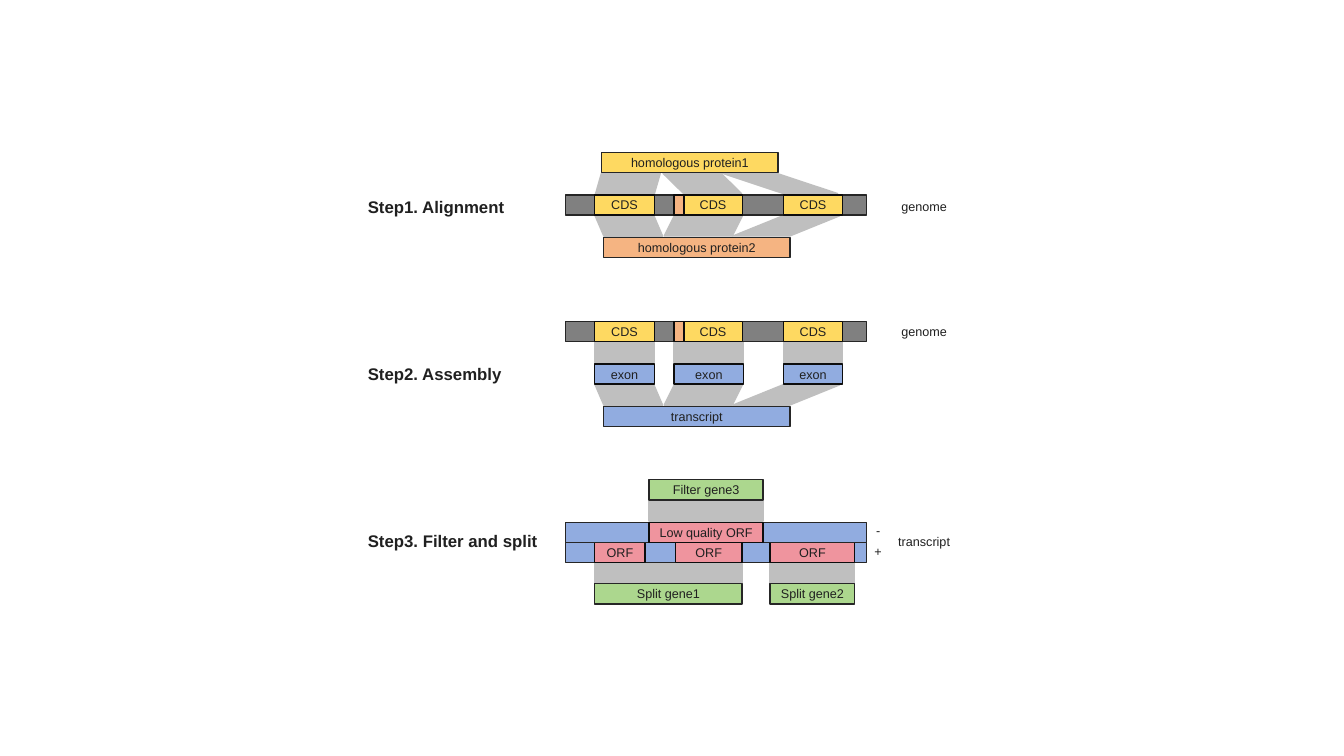
from pptx import Presentation
from pptx.dml.color import RGBColor as Rgb
from pptx.enum.shapes import MSO_SHAPE as Kind
from pptx.enum.text import MSO_ANCHOR as Anchor, PP_ALIGN as Align
from pptx.util import Cm, Pt

HUES = {
    "text": "202020", "dark": "262626", "ink": "0D0D0D", "band": "BFBFBF",
    "grey": "808080", "gold": "FED961", "peach": "F5B482",
    "blue": "91ACE0", "pink": "EF949E", "green": "ACD78E",
}
HIGH = 0.51
DROP = 0.53
STEP = 1.07


class Chart:
    def __init__(self, slide):
        self.shapes = slide.shapes

    def hue(self, name):
        return Rgb.from_string(HUES[name])

    def shape(self, kind, x, y, wide, fill, edge):
        item = self.shapes.add_shape(kind, Cm(x), Cm(y), Cm(wide), Cm(HIGH))
        item.shadow.inherit = False
        item.fill.solid()
        item.fill.fore_color.rgb = self.hue(fill)
        item.line.color.rgb = self.hue(edge)
        item.line.width = Pt(1)
        return item

    def band(self, x, y, wide, slant=0, flip=""):
        item = self.shape(Kind.PARALLELOGRAM, x, y, wide, "band", "band")
        item.adjustments[0] = slant
        for axis in flip:
            item._element.spPr.xfrm.set("flip" + axis, "1")

    def letter(self, frame, text, size=9, bold=False, align=Align.CENTER):
        line = frame.paragraphs[0]
        line.text = text
        line.alignment = align
        font = line.font
        font.name, font.size, font.bold = "Arial", Pt(size), bold
        font.color.rgb = self.hue("text")

    def bar(self, x, y, wide, fill, text="", edge="ink"):
        item = self.shape(Kind.RECTANGLE, x, y, wide, fill, edge)
        if text:
            frame = item.text_frame
            frame.margin_left = frame.margin_right = 0
            frame.vertical_anchor = Anchor.MIDDLE
            self.letter(frame, text)

    def label(self, x, y, wide, high, text, **look):
        box = self.shapes.add_textbox(Cm(x), Cm(y), Cm(wide), Cm(high))
        box.text_frame.word_wrap = True
        self.letter(box.text_frame, text, **look)

    def note(self, x, y, text):
        self.label(x, y, 2.24, 0.64, text)

    def title(self, y, text):
        self.label(9.02, y, 5, 0.76, text, size=12, bold=True, align=Align.LEFT)

    def genome(self, y):
        self.bar(14.25, y, 7.59, "grey", edge="dark")
        for x in (14.99, 17.22, 19.74):
            self.bar(x, y, 1.5, "gold", "CDS")
        self.bar(16.99, y, 0.25, "peach")


def main():
    deck = Presentation()
    deck.slide_width, deck.slide_height = Cm(33.87), Cm(19.05)
    chart = Chart(deck.slides.add_slide(deck.slide_layouts[6]))

    first, second, third = 3.84, 8.1, 12.09
    gene = first + STEP
    exon = second + STEP
    minus = third + STEP
    plus = minus + HIGH
    split = plus + STEP - 0.03
    exons = ((14.99, 1.5), (16.99, 1.75), (19.74, 1.5))
    genes = ((14.99, 3.71, "Split gene1"), (19.41, 2.13, "Split gene2"))

    chart.band(15.01, first + DROP, 1.63, 0.29)
    chart.band(16.71, first + DROP, 1.98, 1.02, "V")
    chart.band(18.21, first + DROP, 2.9, 3.01, "V")
    for y in (gene + DROP, exon + DROP):
        chart.band(15, y, 1.7, 0.43, "H")
        chart.band(16.74, y, 1.97, 0.5, "HV")
        chart.band(18.47, y, 2.69, 2.47, "HV")
    for x, wide in exons:
        chart.band(x, second + DROP, wide)
    chart.band(16.36, third + DROP, 2.87)
    for x, wide, name in genes:
        chart.band(x, plus + DROP, wide)

    chart.genome(gene)
    chart.bar(15.16, first, 4.45, "gold", "homologous protein1", "dark")
    chart.bar(15.21, gene + STEP, 4.7, "peach", "homologous protein2", "dark")
    chart.note(22.17, 4.9, "genome")
    chart.title(4.83, "Step1. Alignment")

    chart.genome(second)
    for x, wide in exons:
        chart.bar(x, exon, wide, "blue", "exon")
    chart.bar(15.21, exon + STEP, 4.7, "blue", "transcript", "dark")
    chart.note(22.17, 8.03, "genome")
    chart.title(9.04, "Step2. Assembly")

    chart.bar(14.25, plus, 7.59, "blue", edge="dark")
    for x, wide in ((14.99, 1.27), (17.02, 1.68), (19.41, 2.13)):
        chart.bar(x, plus, wide, "pink", "ORF")
    for x, wide, name in genes:
        chart.bar(x, split, wide, "green", name, "dark")
    chart.bar(14.25, minus, 7.59, "blue", edge="dark")
    chart.bar(16.36, minus, 2.87, "pink", "Low quality ORF")
    chart.bar(16.36, third, 2.87, "green", "Filter gene3", "dark")
    chart.note(21.01, 13.06, "-")
    chart.note(21.01, 13.59, "+")
    chart.note(22.17, 13.34, "transcript")
    chart.title(13.26, "Step3. Filter and split")

    deck.save("out.pptx")


if __name__ == "__main__":
    main()
